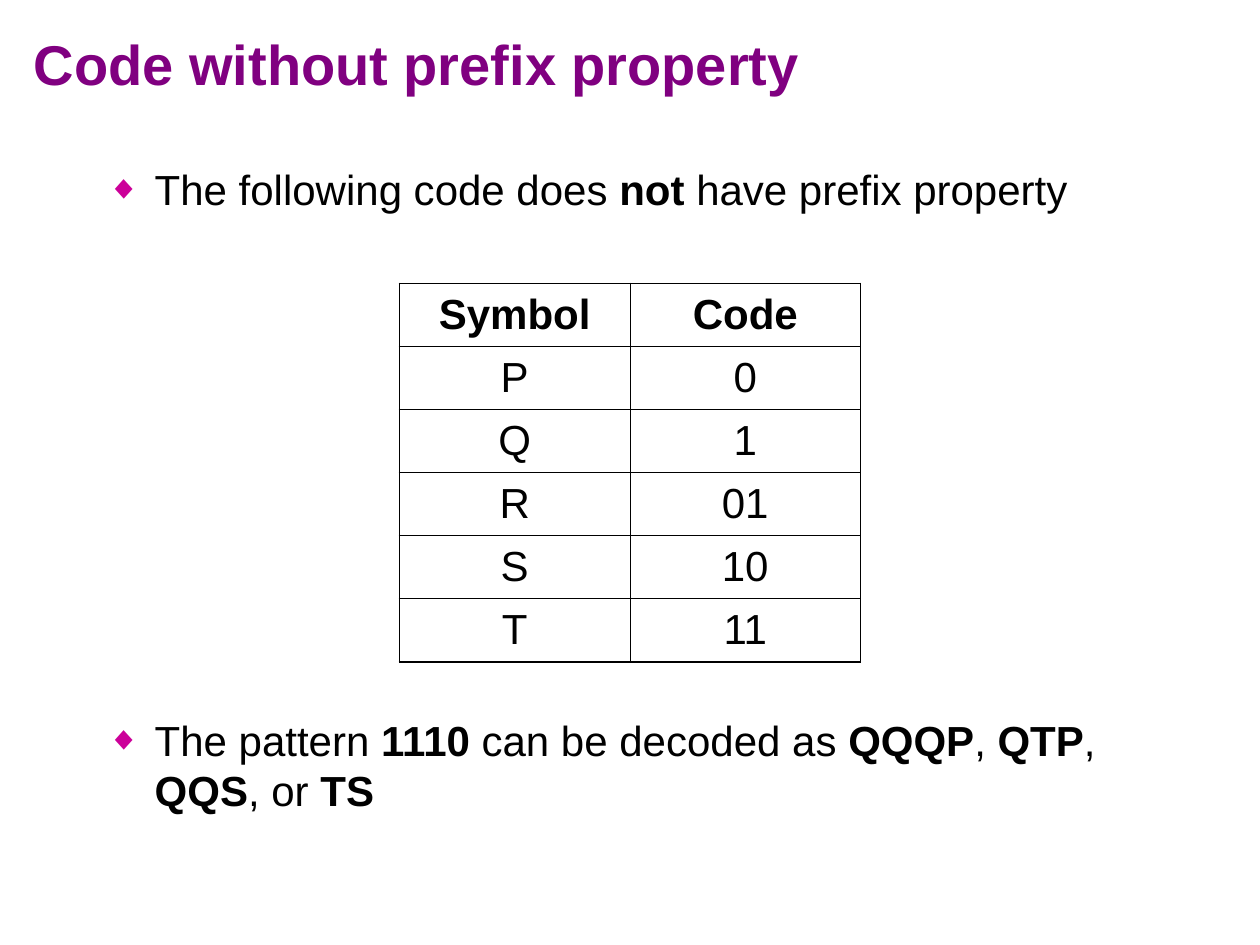
from lxml import etree
from pptx import Presentation
from pptx import util as u
from pptx.dml.color import RGBColor
from pptx.enum import text as t
from pptx.oxml import ns

PURPLE = RGBColor(0x80, 0x00, 0x80)
PINK = RGBColor(0xCC, 0x00, 0x99)
BLACK = RGBColor(0x00, 0x00, 0x00)

WIDTH, HEIGHT = u.Inches(10), u.Inches(7.5)
THICK, THIN = u.Pt(1.08), u.Pt(0.45)
INDENT = u.Inches(0.38)

CODES = [("Symbol", "Code"), ("P", "0"), ("Q", "1"),
         ("R", "01"), ("S", "10"), ("T", "11")]

# Every second part of a point is bold
FIRST = ["The following code does ", "not", " have prefix property"]
SECOND = ["The pattern ", "1110", " can be decoded as ", "QQQP", ", ",
          "QTP", ", ", "QQS", ", or ", "TS"]


def add_node(parent, tag, **attrs):
    node = etree.SubElement(parent, ns.qn(tag))
    for key, val in attrs.items():
        node.set(key, str(val))
    return node


def add_run(para, words, size=24, bold=False, color=BLACK):
    run = para.add_run()
    run.text = words
    look = {"name": "Arial", "size": u.Pt(size), "bold": bold}
    for key, val in look.items():
        setattr(run.font, key, val)
    run.font.color.rgb = color


def add_box(slide, left, top, width, height, anchor):
    """Place a text box by shares of the slide's size."""
    box = slide.shapes.add_textbox(
        int(left * WIDTH), int(top * HEIGHT),
        int(width * WIDTH), int(height * HEIGHT))
    frame = box.text_frame
    frame.word_wrap = True
    frame.vertical_anchor = anchor
    return frame


def add_point(para, parts, gap):
    para.space_before = u.Pt(gap)
    props = para._p.get_or_add_pPr()
    props.set("marL", str(INDENT))
    props.set("indent", str(-INDENT))
    add_node(add_node(props, "a:buClr"), "a:srgbClr", val=PINK)
    add_node(props, "a:buSzPct", val=80000)
    add_node(props, "a:buFont", typeface="Arial")
    add_node(props, "a:buChar", char="◆")
    for i, words in enumerate(parts):
        add_run(para, words, bold=i % 2 == 1)


def set_edges(cell, row, col, rows, cols):
    """Draw thick lines on the table's rim and thin ones inside."""
    props = cell._tc.get_or_add_tcPr()
    rim = {"a:lnL": col == 0, "a:lnR": col == cols - 1,
           "a:lnT": row == 0, "a:lnB": row == rows - 1}
    for tag, outer in rim.items():
        line = add_node(props, tag, w=THICK if outer else THIN)
        add_node(add_node(line, "a:solidFill"), "a:srgbClr", val=BLACK)
    cell.fill.background()


def add_grid(slide, data):
    rows, cols = len(data), len(data[0])
    wide, high = u.Inches(1.83), u.Inches(0.5)
    left = (WIDTH - cols * wide) // 2
    grid = slide.shapes.add_table(
        rows, cols, left, int(0.3 * HEIGHT), cols * wide, rows * high).table
    for flag in ("first_row", "horz_banding"):
        setattr(grid, flag, False)
    for r, line in enumerate(data):
        for c, words in enumerate(line):
            cell = grid.cell(r, c)
            cell.vertical_anchor = t.MSO_ANCHOR.MIDDLE
            para = cell.text_frame.paragraphs[0]
            para.alignment = t.PP_ALIGN.CENTER
            para.space_before = u.Pt(6)
            add_run(para, words, bold=r == 0)
            set_edges(cell, r, c, rows, cols)


def main():
    deck = Presentation()
    deck.slide_width, deck.slide_height = WIDTH, HEIGHT
    slide = deck.slides.add_slide(deck.slide_layouts[6])

    # Title
    head = add_box(slide, 0.017, 0.005, 0.967, 0.123, t.MSO_ANCHOR.MIDDLE)
    add_run(head.paragraphs[0], "Code without prefix property",
            size=32, bold=True, color=PURPLE)

    # Points, with room for the table between them
    body = add_box(slide, 0.075, 1 / 6, 0.85, 0.767, t.MSO_ANCHOR.TOP)
    add_point(body.paragraphs[0], FIRST, gap=6)
    add_point(body.add_paragraph(), SECOND, gap=286)

    # Code table
    add_grid(slide, CODES)

    deck.save("out.pptx")


if __name__ == "__main__":
    main()
